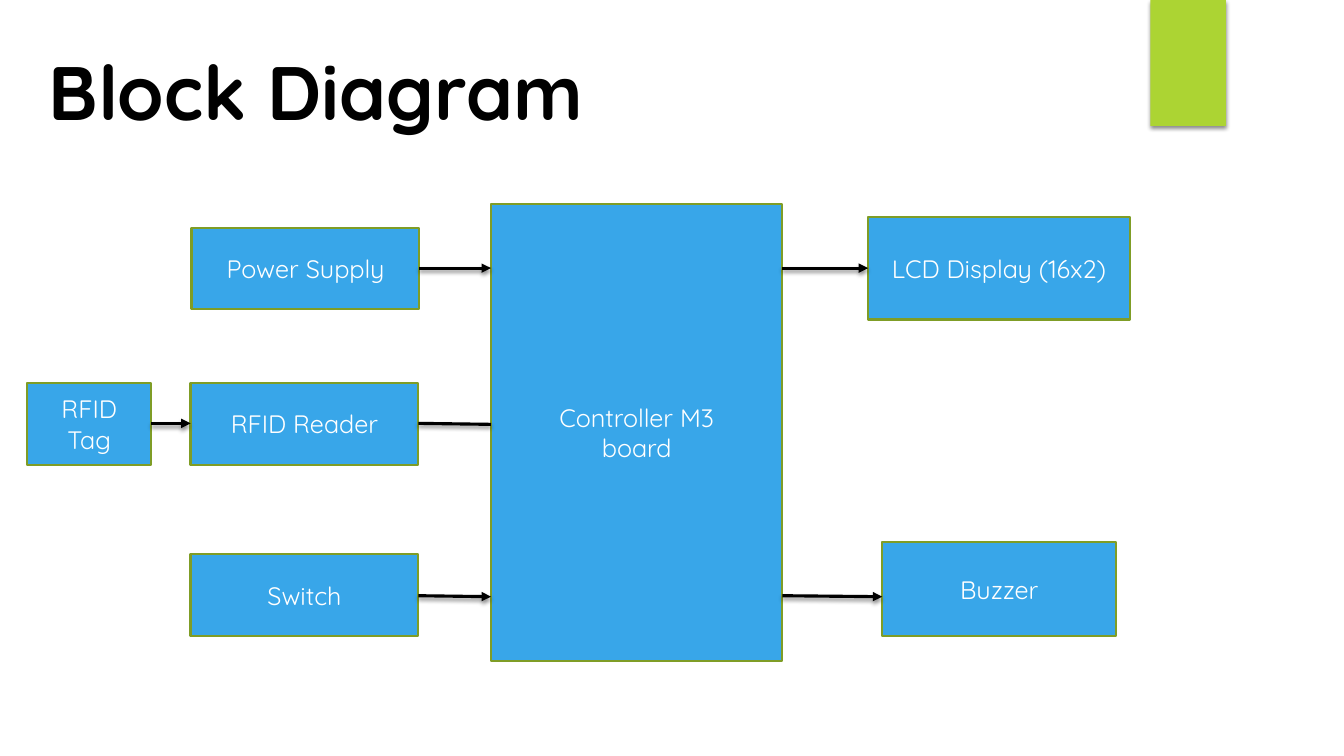
from pptx import Presentation
from pptx.dml.color import RGBColor
from pptx.enum.shapes import MSO_CONNECTOR as CONN, MSO_SHAPE as SHAPE
from pptx.enum.text import MSO_ANCHOR as ANCHOR, MSO_AUTO_SIZE as AUTOSIZE, PP_ALIGN as ALIGN
from pptx.oxml import parse_xml
from pptx.oxml.ns import nsdecls
from pptx.util import Inches, Pt

# Content
TITLE = "Block Diagram"
FONT = "Quicksand"
BLUE, OLIVE, GREEN, BLACK, WHITE = "38A6E9", "7F9D26", "ACD433", "000000", "FFFFFF"
PROCESS, RECT = SHAPE.FLOWCHART_PROCESS, SHAPE.RECTANGLE

# Key: (label, preset, left, top, width, height)
BLOCKS = {
    "board": ("Controller M3\nboard", PROCESS, 4.87, 2.02, 2.89, 4.54),
    "power": ("Power Supply", PROCESS, 1.9, 2.26, 2.26, 0.81),
    "reader": ("RFID Reader", PROCESS, 1.89, 3.8, 2.26, 0.81),
    "switch": ("Switch", PROCESS, 1.89, 5.5, 2.26, 0.81),
    "lcd": ("LCD Display (16x2)", RECT, 8.61, 2.15, 2.6, 1.02),
    "buzzer": ("Buzzer", PROCESS, 8.75, 5.38, 2.32, 0.93),
    "tag": ("RFID Tag", PROCESS, 0.27, 3.8, 1.23, 0.81),
}

# (from block, to block, start y, end y, arrowhead)
LINKS = [
    ("power", "board", 2.66, 2.66, True),
    ("reader", "board", 4.2, 4.21, False),
    ("switch", "board", 5.91, 5.92, True),
    ("board", "lcd", 2.66, 2.66, True),
    ("board", "buzzer", 5.91, 5.92, True),
    ("tag", "reader", 4.2, 4.2, True),
]


def rgb(color):
    return RGBColor.from_string(color)


def add_shadow(sp):
    sp._element.spPr.append(parse_xml(
        f'<a:effectLst {nsdecls("a")}>'
        f'<a:outerShdw blurRad="{Pt(3)}" dist="{Pt(2)}" dir="5400000" rotWithShape="0">'
        f'<a:srgbClr val="{BLACK}"><a:alpha val="45000"/></a:srgbClr>'
        '</a:outerShdw></a:effectLst>'))


def format_text(tf, size, color, bold=False):
    for p in tf.paragraphs:
        p.alignment = ALIGN.CENTER
        for r in p.runs:
            r.font.name, r.font.size, r.font.bold = FONT, Pt(size), bold
            r.font.color.rgb = rgb(color)


def add_box(slide, preset, box, fill):
    sp = slide.shapes.add_shape(preset, *map(Inches, box))
    sp.fill.solid()
    sp.fill.fore_color.rgb = rgb(fill)
    return sp


def add_block(slide, label, preset, *box):
    sp = add_box(slide, preset, box, BLUE)
    sp.shadow.inherit = False
    sp.line.color.rgb = rgb(OLIVE)
    sp.line.width = Pt(1.5)
    tf = sp.text_frame
    tf.word_wrap = True
    tf.vertical_anchor = ANCHOR.MIDDLE
    tf.text = label
    format_text(tf, 18, WHITE)


def add_link(slide, source, target, y1, y2, arrow):
    _, _, left, _, width, _ = BLOCKS[source]
    ends = left + width, y1, BLOCKS[target][2], y2
    line = slide.shapes.add_connector(CONN.STRAIGHT, *map(Inches, ends))
    line.line.color.rgb = rgb(BLACK)
    line.line.width = Pt(2.25)
    if arrow:
        line.line._get_or_add_ln().append(
            parse_xml(f'<a:tailEnd {nsdecls("a")} type="triangle"/>'))
    add_shadow(line)


def main():
    prs = Presentation()
    prs.slide_width, prs.slide_height = Inches(13.33), Inches(7.5)
    slide = prs.slides.add_slide(prs.slide_layouts[5])

    # Title
    title = slide.shapes.title
    title.left, title.top, title.width, title.height = map(Inches, (0.33, 0.4, 5.61, 1.01))
    tf = title.text_frame
    tf.text = TITLE
    tf.word_wrap = False
    tf.auto_size = AUTOSIZE.NONE
    tf.vertical_anchor = ANCHOR.TOP
    format_text(tf, 54, BLACK, bold=True)

    # Corner tab
    tab = add_box(slide, RECT, (11.41, 0, 0.75, 1.25), GREEN)
    tab.line.fill.background()
    add_shadow(tab)

    # Diagram
    for block in BLOCKS.values():
        add_block(slide, *block)
    for link in LINKS:
        add_link(slide, *link)

    prs.save("out.pptx")


if __name__ == "__main__":
    main()
